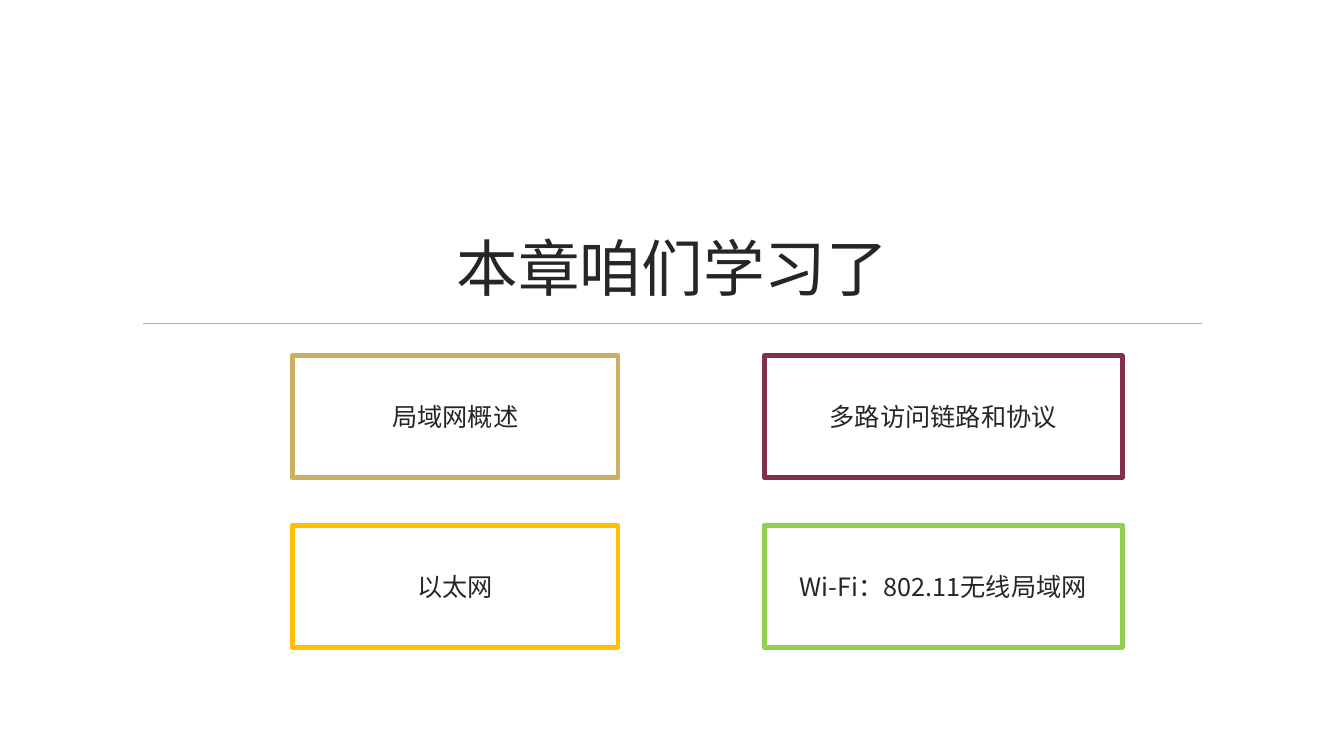
from lxml import etree
from pptx import Presentation
from pptx.dml.color import RGBColor
from pptx.enum.shapes import MSO_CONNECTOR, MSO_SHAPE
from pptx.enum.text import MSO_ANCHOR, PP_ALIGN
from pptx.oxml.ns import qn
from pptx.util import Pt

RECT, STRAIGHT = MSO_SHAPE.RECTANGLE, MSO_CONNECTOR.STRAIGHT
MIDDLE, BOTTOM, CENTER = MSO_ANCHOR.MIDDLE, MSO_ANCHOR.BOTTOM, PP_ALIGN.CENTER

TITLE = "本章咱们学习了"
TOPICS = [
    [("局域网概述", "CBAF62"), ("多路访问链路和协议", "803348")],
    [("以太网", "FFC000"), ("Wi-Fi：802.11无线局域网", "92D050")],
]
FONT, INK, GOLD = "Noto Sans CJK SC", "262626", "CBAF62"

PX = 9144
SLIDE_W, SLIDE_H = 1333, 750
TITLE_BOX = (142, 107, 1050, 199)
RULE = (142, 321, 1192, 321)
COLUMNS = [(290, 323), (758, 355)]
ROW_TOP, ROW_STEP, ROW_H = 353, 168, 121


def px(*values):
    return [v * PX for v in values]


def rgb(color):
    return RGBColor.from_string(color)


def write(s, text, size, anchor):
    tf = s.text_frame
    tf.word_wrap = True
    tf.vertical_anchor = anchor
    p = tf.paragraphs[0]
    p.alignment = CENTER
    r = p.add_run()
    r.text = text
    for name, value in {"name": FONT, "size": Pt(size), "bold": False}.items():
        setattr(r.font, name, value)
    r.font.color.rgb = rgb(INK)
    etree.SubElement(r.font._element, qn("a:ea"), typeface=FONT)


def add_rule(slide):
    s = slide.shapes.add_connector(STRAIGHT, *px(*RULE))
    s.line.color.rgb = rgb(GOLD)
    s.line.width = Pt(1.25)
    etree.SubElement(s._element.spPr, qn("a:effectLst"))


def add_topic(slide, box, text, color):
    s = slide.shapes.add_shape(RECT, *px(*box))
    s.shadow.inherit = False
    s.fill.background()
    s.line.color.rgb = rgb(color)
    s.line.width = Pt(3.5)
    write(s, text, 18, MIDDLE)


def main():
    """Build the chapter summary slide."""
    prs = Presentation()
    prs.slide_width, prs.slide_height = px(SLIDE_W, SLIDE_H)
    slide = prs.slides.add_slide(prs.slide_layouts[6])
    add_rule(slide)
    write(slide.shapes.add_textbox(*px(*TITLE_BOX)), TITLE, 44, BOTTOM)
    for row, topics in enumerate(TOPICS):
        top = ROW_TOP + row * ROW_STEP
        for (left, width), (text, color) in zip(COLUMNS, topics):
            add_topic(slide, (left, top, width, ROW_H), text, color)
    prs.save("out.pptx")


if __name__ == "__main__":
    main()
